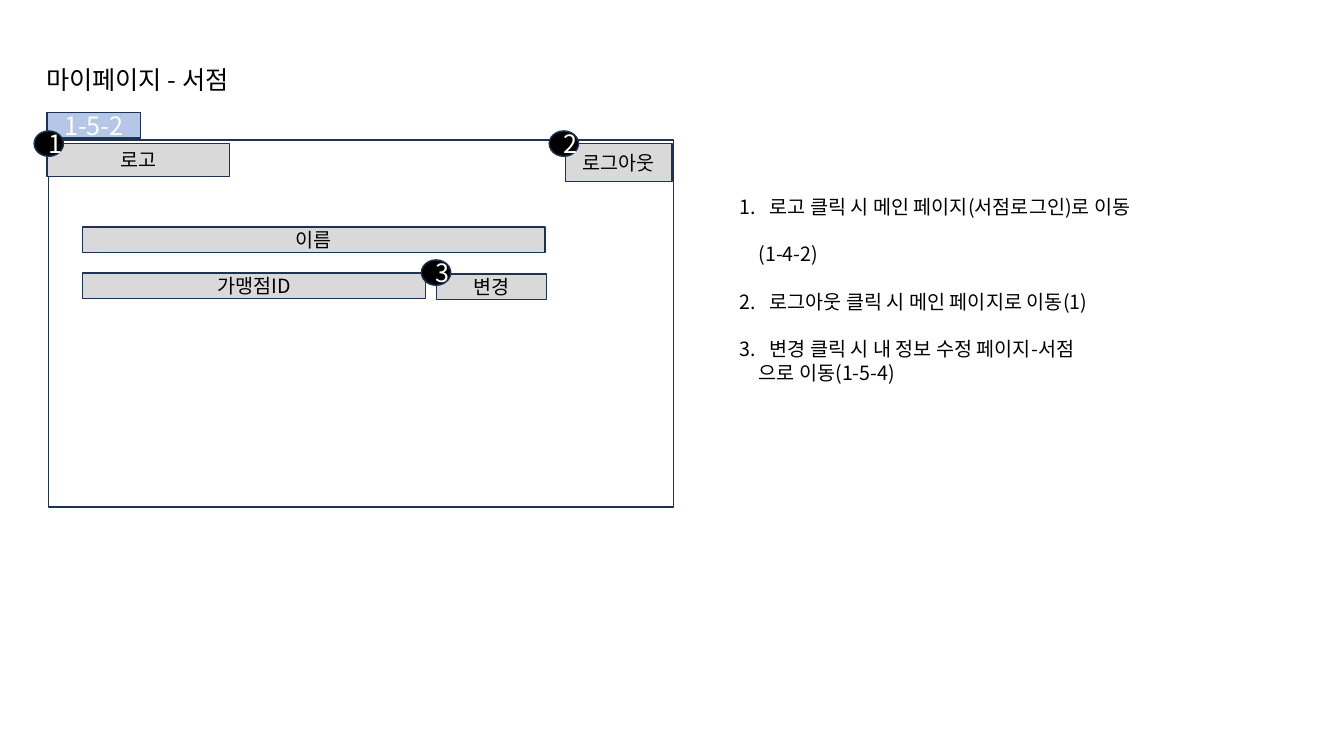
import pptx
import pptx.util
import pptx.dml.color
import pptx.enum.shapes
import pptx.enum.text
import pptx.oxml
import pptx.oxml.ns
from pptx.util import Cm

FONT = "Noto Sans CJK KR"
BLACK = pptx.dml.color.RGBColor(0x00, 0x00, 0x00)
WHITE = pptx.dml.color.RGBColor(0xFF, 0xFF, 0xFF)
NAVY = pptx.dml.color.RGBColor(0x1E, 0x32, 0x56)
GREY = pptx.dml.color.RGBColor(0xD9, 0xD9, 0xD9)
LIGHT_BLUE = pptx.dml.color.RGBColor(0xB4, 0xC7, 0xE7)
RECTANGLE = pptx.enum.shapes.MSO_SHAPE.RECTANGLE
OVAL = pptx.enum.shapes.MSO_SHAPE.OVAL
LEFT = pptx.enum.text.PP_ALIGN.LEFT
CENTER = pptx.enum.text.PP_ALIGN.CENTER


def write(para, text, size=14, color=BLACK, align=LEFT, before=0):
    para.alignment = align
    para.space_before = pptx.util.Pt(before)
    span = para.add_run()
    span.text = text
    span.font.size = pptx.util.Pt(size)
    span.font.color.rgb = color
    span.font.name = FONT
    east_asian = pptx.oxml.parse_xml(
        f'<a:ea {pptx.oxml.ns.nsdecls("a")} typeface="{FONT}"/>')
    span.font._element.append(east_asian)


def add_block(page, kind, left, top, width, height, fill):
    block = page.shapes.add_shape(kind, Cm(left), Cm(top), Cm(width), Cm(height))
    block.shadow.inherit = False
    block.fill.solid()
    block.fill.fore_color.rgb = fill
    block.line.color.rgb = NAVY
    block.line.width = pptx.util.Pt(1)
    block.text_frame.vertical_anchor = pptx.enum.text.MSO_ANCHOR.MIDDLE
    return block


deck = pptx.Presentation()
deck.slide_width = Cm(33.87)
deck.slide_height = Cm(19.05)
page = deck.slides.add_slide(deck.slide_layouts[5])

title = page.shapes.title
title.left, title.top, title.width, title.height = Cm(0.91), Cm(1.5), Cm(9.22), Cm(1.02)
title.text_frame.auto_size = pptx.enum.text.MSO_AUTO_SIZE.NONE
title.text_frame.vertical_anchor = pptx.enum.text.MSO_ANCHOR.TOP
write(title.text_frame.paragraphs[0], "마이페이지 - 서점", size=18)

add_block(page, RECTANGLE, 1.22, 3.53, 15.75, 9.25, WHITE)

tag = add_block(page, RECTANGLE, 1.19, 2.84, 2.36, 0.64, LIGHT_BLUE)
write(tag.text_frame.paragraphs[0], "1-5-2", size=18, color=WHITE, align=CENTER)

fields = [
    ("이름", 2.08, 5.72, 11.66, 0.64),
    ("가맹점ID", 2.08, 6.88, 8.64, 0.64),
    ("변경", 11, 6.91, 2.77, 0.64),
    ("로그아웃", 14.25, 3.61, 2.69, 0.97),
    ("로고", 1.19, 3.61, 4.6, 0.84),
]
for label, left, top, width, height in fields:
    field = add_block(page, RECTANGLE, left, top, width, height, GREY)
    write(field.text_frame.paragraphs[0], label, align=CENTER)

for number, left, top in [("1", 0.86, 3.3), ("2", 13.84, 3.3), ("3", 10.62, 6.55)]:
    badge = add_block(page, OVAL, left, top, 0.74, 0.64, BLACK)
    write(badge.text_frame.paragraphs[0], number, size=18, color=WHITE, align=CENTER)

notes = page.shapes.add_textbox(Cm(18.31), Cm(4.79), Cm(12.52), Cm(5.6))
notes.text_frame.word_wrap = True
steps = [
    (1, "로고 클릭 시 메인 페이지(서점로그인)로 이동", 0),
    (None, "(1-4-2)", 17),
    (2, "로그아웃 클릭 시 메인 페이지로 이동(1)", 17),
    (3, "변경 클릭 시 내 정보 수정 페이지-서점", 17),
    (None, "으로 이동(1-5-4)", 0),
]
for index, (number, text, before) in enumerate(steps):
    para = notes.text_frame.paragraphs[0] if index == 0 else notes.text_frame.add_paragraph()
    properties = para._p.get_or_add_pPr()
    if number:
        properties.set("marL", str(Cm(0.84)))
        properties.set("indent", str(Cm(-0.76)))
        properties.append(pptx.oxml.parse_xml(
            f'<a:buFont {pptx.oxml.ns.nsdecls("a")} typeface="{FONT}"/>'))
        properties.append(pptx.oxml.parse_xml(
            f'<a:buAutoNum {pptx.oxml.ns.nsdecls("a")} type="arabicPeriod" startAt="{number}"/>'))
    else:
        properties.set("marL", str(Cm(0.56)))
    write(para, text, before=before)

deck.save("out.pptx")
